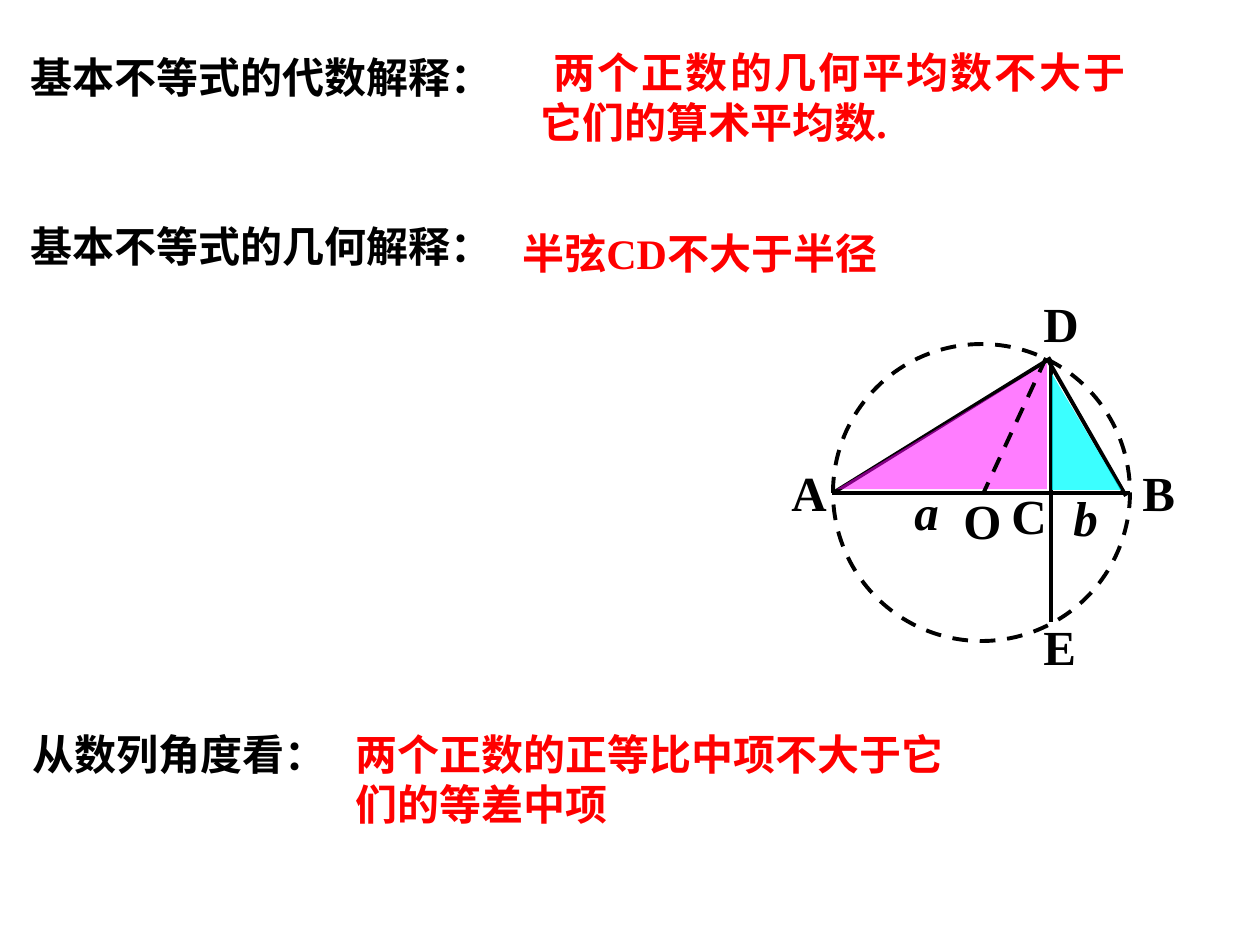
from lxml.etree import SubElement
from pptx import Presentation
from pptx.dml.color import RGBColor
from pptx.enum.dml import MSO_LINE
from pptx.enum.shapes import MSO_CONNECTOR, MSO_SHAPE
from pptx.enum.text import MSO_ANCHOR, PP_ALIGN
from pptx.oxml.ns import qn
from pptx.util import Emu, Pt

SCALE = 914400 / 126
FONT = "Times New Roman"
COLORS = {"ink": "000000", "answer": "FF0000", "left": "FF00FF", "right": "00FFFF"}

# text, left, top, width, height
HEADINGS = [
    ("基本不等式的代数解释：", 18, 45, 494, 63),
    ("基本不等式的几何解释：", 18, 214, 494, 63),
    ("从数列角度看：", 20, 722, 310, 63),
]
# text, left, top, width, height, format
ANSWERS = [
    ("两个正数的几何平均数不大于它们的算术平均数.", 528, 40, 610, 113,
     {"align": PP_ALIGN.JUSTIFY, "indent": 13}),
    ("半弦CD不大于半径", 510, 221, 410, 63, {}),
    ("两个正数的正等比中项不大于它们的等差中项", 343, 722, 630, 113, {}),
]
# text, left, top, width
POINT_LABELS = [
    ("A", 779, 456, 60), ("B", 1130, 456, 58), ("C", 999, 479, 60),
    ("D", 1031, 287, 60), ("E", 1031, 610, 58), ("O", 951, 484, 63),
]
LENGTH_LABELS = [("a", 902, 475, 49), ("b", 1061, 481, 49)]
LABEL_HEIGHT = 72

CIRCLE = (833, 344, 297, 297)
# start x, start y, end x, end y
SEGMENTS = {
    "AB": (832, 493, 1130, 493),
    "AD": (833, 493, 1051, 358),
    "DB": (1048, 360, 1126, 496),
    "DE": (1051, 364, 1051, 622),
}
RADIUS_OD = (1046, 358, 983, 494)
# left, top, width, height, rotation, colour, opacity in percent
TRIANGLES = [
    (879, 321, 126, 210, 270, "left", 51),
    (1052, 374, 69, 116, 0, "right", 77),
]


def px(*values):
    return [Emu(round(value * SCALE)) for value in values]


def color(name):
    return RGBColor.from_string(COLORS[name])


def add_text(slide, text, box, size=24, ink="ink", italic=False, wrap=True,
             align=PP_ALIGN.LEFT, indent=0):
    frame = slide.shapes.add_textbox(*px(*box)).text_frame
    frame.word_wrap = wrap
    frame.vertical_anchor = MSO_ANCHOR.TOP
    para = frame.paragraphs[0]
    para.alignment = align
    if indent:
        para._p.get_or_add_pPr().set("indent", str(px(indent)[0]))
    span = para.add_run()
    span.text = text
    span.font.name = FONT
    span.font.size = Pt(size)
    span.font.bold = True
    span.font.italic = italic
    span.font.color.rgb = color(ink)


def style_line(line, dashed):
    line.color.rgb = color("ink")
    line.width = Pt(2.25)
    if dashed:
        line.dash_style = MSO_LINE.DASH


def add_segment(slide, ends, dashed=False):
    segment = slide.shapes.add_connector(MSO_CONNECTOR.STRAIGHT, *px(*ends))
    style_line(segment.line, dashed)
    SubElement(segment._element.spPr, qn("a:effectLst"))


def add_circle(slide):
    circle = slide.shapes.add_shape(MSO_SHAPE.OVAL, *px(*CIRCLE))
    circle.shadow.inherit = False
    circle.fill.background()
    style_line(circle.line, dashed=True)


def add_triangle(slide, left, top, width, height, rotation, fill, opacity):
    triangle = slide.shapes.add_shape(
        MSO_SHAPE.RIGHT_TRIANGLE, *px(left, top, width, height))
    triangle.rotation = rotation
    triangle.shadow.inherit = False
    triangle.line.fill.background()
    triangle.fill.solid()
    triangle.fill.fore_color.rgb = color(fill)
    fill_color = triangle._element.spPr.find(qn("a:solidFill"))[0]
    SubElement(fill_color, qn("a:alpha"), val=str(opacity * 1000))


def main():
    deck = Presentation()
    deck.slide_width, deck.slide_height = px(1260, 945)
    slide = deck.slides.add_slide(deck.slide_layouts[6])

    for text, *box in HEADINGS:
        add_text(slide, text, box)
    for text, *box, text_format in ANSWERS:
        add_text(slide, text, box, ink="answer", **text_format)

    add_circle(slide)
    for ends in SEGMENTS.values():
        add_segment(slide, ends)
    for triangle in TRIANGLES:
        add_triangle(slide, *triangle)
    add_segment(slide, RADIUS_OD, dashed=True)

    for labels, italic in ((POINT_LABELS, False), (LENGTH_LABELS, True)):
        for text, *place in labels:
            add_text(slide, text, (*place, LABEL_HEIGHT), size=28,
                     italic=italic, wrap=False)

    deck.save("out.pptx")


if __name__ == "__main__":
    main()
